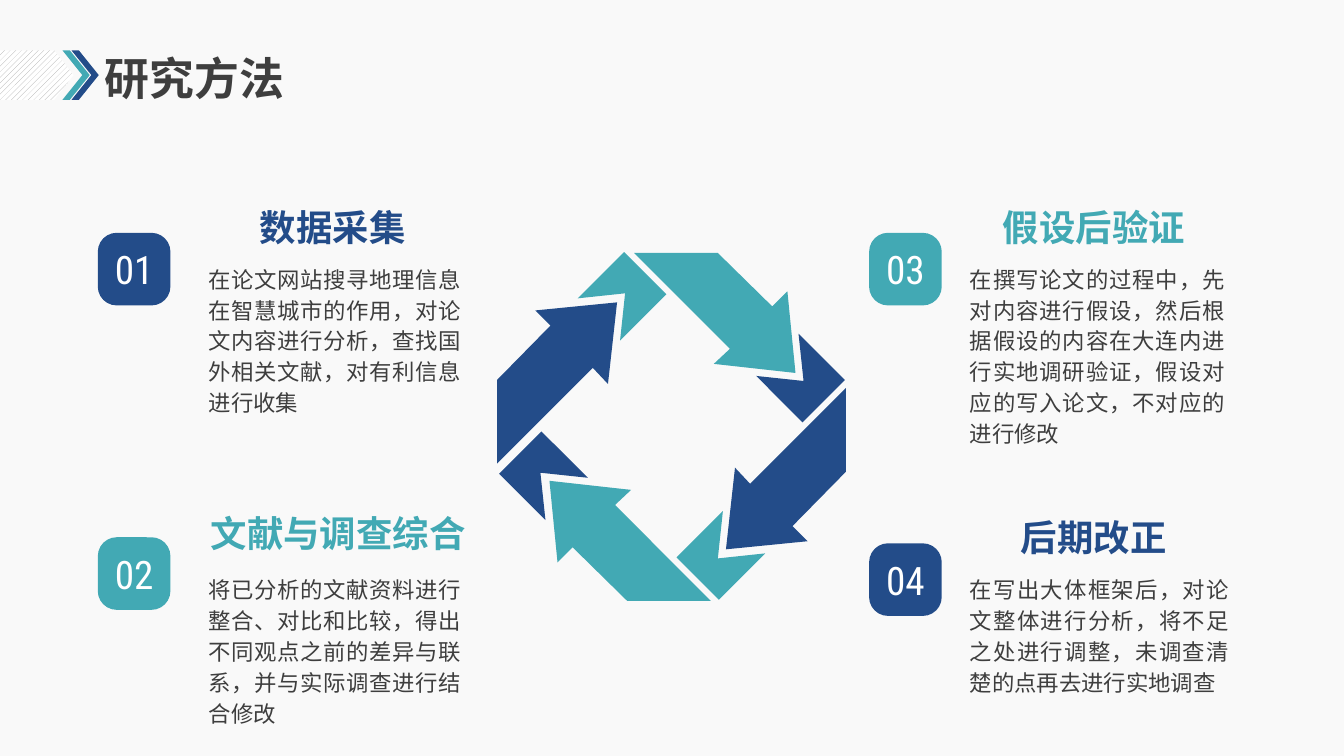
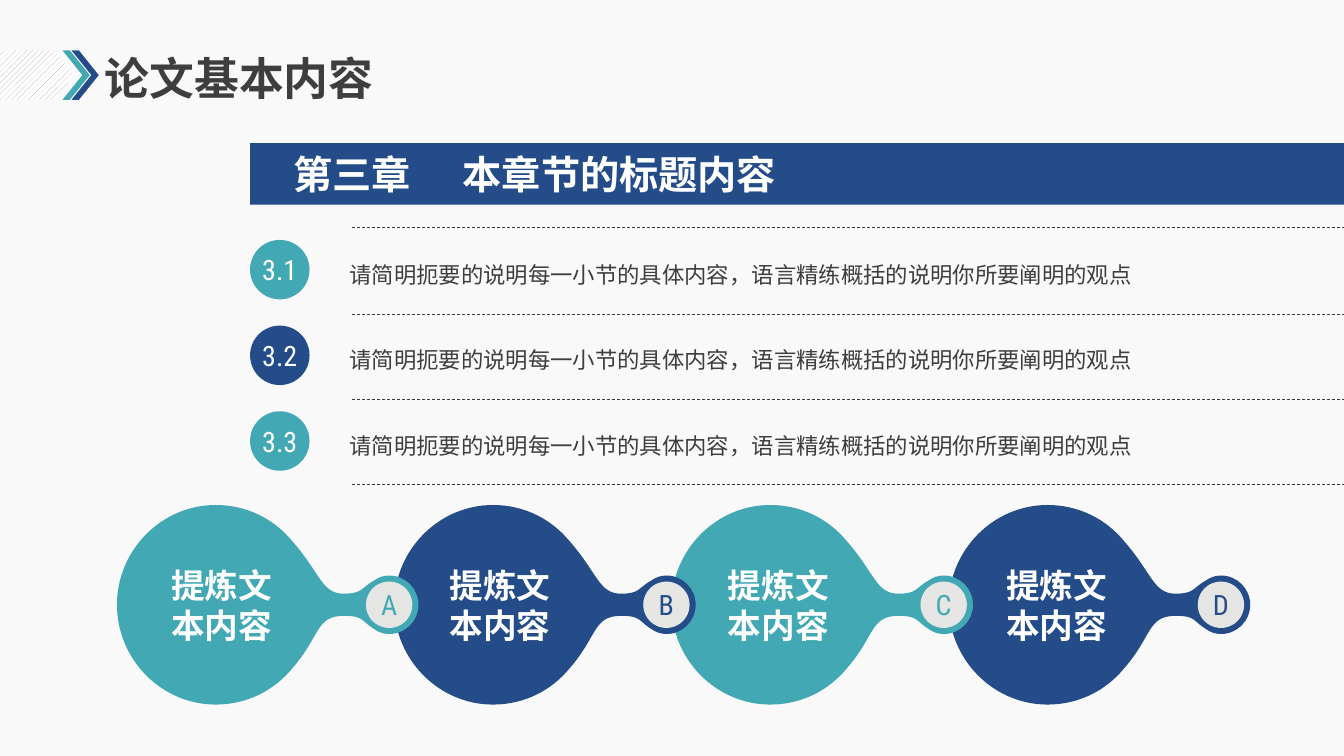
from pptx import Presentation
from pptx.dml.color import RGBColor
from pptx.enum.dml import MSO_LINE, MSO_PATTERN
from pptx.enum.shapes import MSO_CONNECTOR, MSO_SHAPE
from pptx.enum.text import MSO_ANCHOR, PP_ALIGN
from pptx.oxml.ns import qn
from pptx.util import Pt
from lxml import etree

EMU_PER_PX = 9144  # 100 px to the inch
PAGE_W, PAGE_H = 1333, 750

COLOURS = {
    "paper": "F9F9F9", "ink": "3E3E3E", "teal": "42A9B4", "blue": "234C89",
    "white": "FFFFFF", "hatch": "A6A6A6", "disc": "E5E5E4",
}
CJK, NUMERAL, TITLE, LATIN = "Noto Sans CJK SC", "Roboto Condensed", "Karla", "Calibri"
LEFT, CENTER, JUSTIFY = PP_ALIGN.LEFT, PP_ALIGN.CENTER, PP_ALIGN.JUSTIFY
TOP, MIDDLE = MSO_ANCHOR.TOP, MSO_ANCHOR.MIDDLE
RECT, ROUNDED, OVAL = MSO_SHAPE.RECTANGLE, MSO_SHAPE.ROUNDED_RECTANGLE, MSO_SHAPE.OVAL
CHEVRON, HOME_PLATE = MSO_SHAPE.CHEVRON, MSO_SHAPE.PENTAGON
NO_INSET, DEFAULT_INSET = (0, 0, 0, 0), (10, 5, 10, 5)
BODY_LEADING = Pt(22)

# number, colour, badge x and y, heading, its x, y, width and alignment, body, its x, y, width and height
METHODS = [
    ("01", "blue", 97, 231, "数据采集", 207, 204, 246, CENTER,
     "在论文网站搜寻地理信息在智慧城市的作用，对论文内容进行分析，查找国外相关文献，对有利信息进行收集",
     207, 260, 251, 152),
    ("02", "teal", 97, 533, "文献与调查综合", 209, 507, 256, LEFT,
     "将已分析的文献资料进行整合、对比和比较，得出不同观点之前的差异与联系，并与实际调查进行结合修改",
     207, 568, 251, 152),
    ("03", "teal", 862, 231, "假设后验证", 962, 204, 246, CENTER,
     "在撰写论文的过程中，先对内容进行假设，然后根据假设的内容在大连内进行实地调研验证，假设对应的写入论文，不对应的进行修改",
     962, 260, 253, 183),
    ("04", "blue", 862, 539, "后期改正", 962, 511, 246, CENTER,
     "在写出大体框架后，对论文整体进行分析，将不足之处进行调整，未调查清楚的点再去进行实地调查",
     962, 568, 257, 121),
]

# Offsets from the centre of the ring, and the centre used for each quarter turn
RING_ARROW = [(114, -134), (122, -53), (41, -62), (57, -77), (-38, -172), (45, -172), (99, -119)]
RING_TAIL = [(-94, -127), (-48, -173), (-6, -131), (-52, -85), (-47, -132)]
RING = [
    (RING_ARROW, [(667, 423), (667, 423), (667, 424), (665, 422)]),
    (RING_TAIL, [(667, 423), (665, 425), (665, 422), (668, 422)]),
]

CHAPTER = ("第三章", "本章节的标题内容")
SECTION_TEXT = [("请简明扼要的说明每一小节的具体内容，", CJK), ("语言精练概括的说明你所要阐明的观点", LATIN)]
SECTIONS = [("3.1", "teal"), ("3.2", "blue"), ("3.3", "teal")]
SECTION_PITCH = 85
RULE_TOPS = (226, 312, 396, 481)

DROPS = [("A", "teal"), ("B", "blue"), ("C", "teal"), ("D", "blue")]
DROP_TEXT = "提炼文本内容"
DROP_X, DROP_Y, DROP_PITCH = 116, 600, 275
DROP_LABEL_X, DROP_LABEL_PITCH = 157, 276
# Offsets from the left tip at mid height; each row is two controls and an end point
DROP_START = (270, -29)
DROP_CURVES = [
    ((264, -29), (259, -27), (255, -24)),
    ((242, -17), (244, -11), (225, -11)),
    ((203, -11), (202, -31), (174, -63)),
    ((156, -85), (129, -99), (98, -99)),
    ((44, -99), (0, -54), (0, 0)),
    ((0, 54), (44, 99), (98, 99)),
    ((129, 99), (156, 85), (174, 63)),
    ((202, 31), (197, 11), (225, 11)),
    ((245, 11), (242, 16), (255, 24)),
    ((259, 27), (264, 29), (270, 29)),
    ((286, 29), (299, 16), (299, 0)),
    ((299, -16), (286, -29), (270, -29)),
]


def px(length):
    return round(length * EMU_PER_PX)


def rgb(name):
    return RGBColor.from_string(COLOURS[name])


def paint(shape, colour):
    shape.shadow.inherit = False
    shape.fill.solid()
    shape.fill.fore_color.rgb = rgb(colour)
    shape.line.fill.background()


def write(shape, text, size, colour, font=CJK, bold=False, align=LEFT,
          anchor=TOP, inset=NO_INSET, leading=None):
    """Fill a shape with one paragraph; text is a string or (text, font) pairs."""
    frame = shape.text_frame
    frame.word_wrap = True
    frame.vertical_anchor = anchor
    frame.margin_left, frame.margin_top, frame.margin_right, frame.margin_bottom = map(px, inset)
    para = frame.paragraphs[0]
    para.alignment = align
    if leading:
        para.line_spacing = leading
    parts = [(text, font)] if isinstance(text, str) else text
    for part, face in parts:
        span = para.add_run()
        span.text = part
        span.font.name = face
        span.font.size = Pt(size)
        span.font.bold = bold
        span.font.color.rgb = rgb(colour)
        east_asian = etree.SubElement(span.font._element, qn("a:ea"))
        east_asian.set("typeface", CJK)


def add_block(page, kind, x, y, w, h, colour, adjust=None):
    shape = page.shapes.add_shape(kind, px(x), px(y), px(w), px(h))
    paint(shape, colour)
    if adjust is not None:
        shape.adjustments[0] = adjust
    return shape


def add_text(page, x, y, w, h, text, size, colour, **style):
    box = page.shapes.add_textbox(px(x), px(y), px(w), px(h))
    write(box, text, size, colour, **style)


def add_badge(page, kind, x, y, side, text, size, fill, ink="white", adjust=None):
    badge = add_block(page, kind, x, y, side, side, fill, adjust)
    write(badge, text, size, ink, font=NUMERAL, align=CENTER, anchor=MIDDLE)


def add_outline(page, points, origin, colour):
    """Draw a closed outline from px offsets around an origin."""
    corners = [(px(origin[0] + x), px(origin[1] + y)) for x, y in points]
    builder = page.shapes.build_freeform(*corners[0], scale=1.0)
    builder.add_line_segments(corners[1:], close=True)
    shape = builder.convert_to_shape()
    paint(shape, colour)
    return shape


def bend_lines(shape):
    """Make each three straight segments one cubic curve."""
    lines = list(shape._element.iter(qn("a:lnTo")))
    for first in range(0, len(lines), 3):
        curve = etree.Element(qn("a:cubicBezTo"))
        lines[first].addprevious(curve)
        for line in lines[first:first + 3]:
            curve.append(line[0])
            line.getparent().remove(line)


def add_dashed_rule(page, y):
    rule = page.shapes.add_connector(MSO_CONNECTOR.STRAIGHT, px(349), px(y), px(PAGE_W), px(y))
    rule.line.color.rgb = rgb("ink")
    rule.line.width = Pt(0.5)
    rule.line.dash_style = MSO_LINE.DASH
    etree.SubElement(rule._element.spPr, qn("a:effectLst"))


def quarter_turns(points, turns):
    for _ in range(turns):
        points = [(-y, x) for x, y in points]
    return points


def add_page(deck, title):
    page = deck.slides.add_slide(deck.slide_layouts[6])
    add_block(page, RECT, 0, 0, PAGE_W, PAGE_H, "paper")
    hatch = add_block(page, HOME_PLATE, -1, 50, 74, 49, "white", 0.39)
    hatch.fill.patterned()
    hatch.fill.pattern = MSO_PATTERN.WIDE_UPWARD_DIAGONAL
    hatch.fill.fore_color.rgb = rgb("hatch")
    hatch.fill.back_color.rgb = rgb("white")
    for x, colour in ((62, "teal"), (71, "blue")):
        add_block(page, CHEVRON, x, 50, 27, 49, colour, 0.73)
    add_text(page, 94, 55, 494, 50, title, 32, "ink", font=TITLE, bold=True,
             anchor=MIDDLE, inset=DEFAULT_INSET, leading=0.9)
    return page


def build_methods(deck):
    page = add_page(deck, "研究方法")
    for (number, colour, badge_x, badge_y, heading, heading_x, heading_y, heading_w, align,
         body, body_x, body_y, body_w, body_h) in METHODS:
        add_badge(page, ROUNDED, badge_x, badge_y, 72, number, 28, colour, adjust=0.26)
        add_text(page, heading_x, heading_y, heading_w, 44, heading, 26, colour,
                 bold=True, align=align)
        add_text(page, body_x, body_y, body_w, body_h, body, 16, "ink",
                 align=JUSTIFY, leading=BODY_LEADING)
    for outline, centers in RING:
        for turns, center in enumerate(centers):
            colour = ("teal", "blue")[turns % 2]
            add_outline(page, quarter_turns(outline, turns), center, colour)


def build_contents(deck):
    page = add_page(deck, "论文基本内容")
    band = add_block(page, RECT, 248, 142, PAGE_W - 248, 61, "blue")
    write(band, CHAPTER[0], 28, "white", bold=True, anchor=MIDDLE, inset=(43, 0, 0, 0))
    add_text(page, 443, 142, 448, 61, CHAPTER[1], 28, "white", bold=True,
             align=JUSTIFY, anchor=MIDDLE, inset=(16, 0, 0, 0))

    for y in RULE_TOPS:
        add_dashed_rule(page, y)
    for row, (number, colour) in enumerate(SECTIONS):
        shift = row * SECTION_PITCH
        add_badge(page, OVAL, 248, 238 + shift, 59, number, 20, colour)
        add_text(page, 337, 250 + shift, 816, 39, SECTION_TEXT, 16, "ink",
                 inset=DEFAULT_INSET, leading=BODY_LEADING)

    drop_points = [DROP_START] + [point for curve in DROP_CURVES for point in curve]
    for index, (letter, colour) in reversed(list(enumerate(DROPS))):
        x = DROP_X + index * DROP_PITCH
        bend_lines(add_outline(page, drop_points, (x, DROP_Y), colour))
        add_badge(page, OVAL, x + 247, DROP_Y - 23, 46, letter, 20, "disc", ink=colour)
    for index in range(len(DROPS)):
        add_text(page, DROP_LABEL_X + index * DROP_LABEL_PITCH, 560, 126, 81, DROP_TEXT,
                 24, "white", bold=True, align=CENTER)


def main():
    deck = Presentation()
    deck.slide_width, deck.slide_height = px(PAGE_W), px(PAGE_H)
    build_methods(deck)
    build_contents(deck)
    deck.save("out.pptx")


if __name__ == "__main__":
    main()
